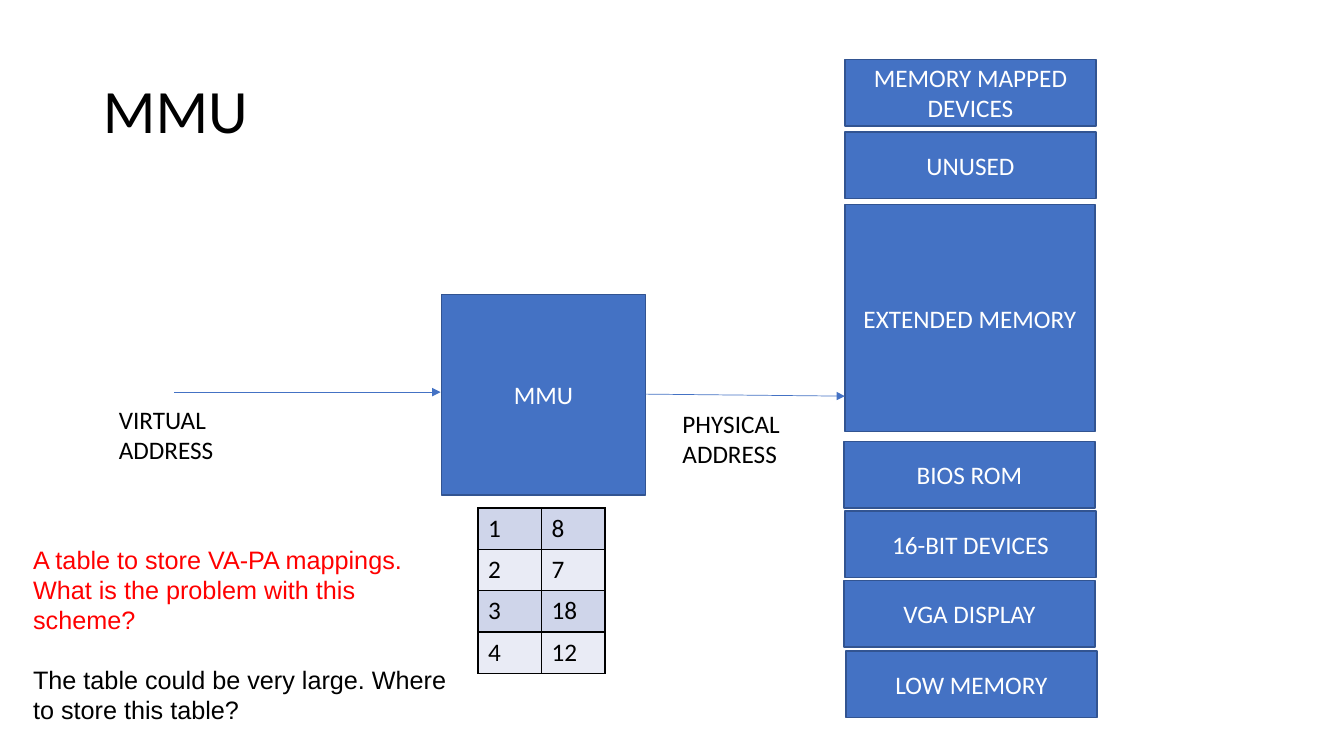
import dataclasses
import typing

import pptx
import pptx.dml.color
import pptx.enum.shapes
import pptx.enum.text
import pptx.oxml
import pptx.oxml.ns
import pptx.util

PX = 9144
ALIGN = pptx.enum.text.PP_ALIGN
ANCHOR = pptx.enum.text.MSO_ANCHOR

COLORS = {
    "box": "4472C4",
    "edge": "325491",
    "white": "FFFFFF",
    "black": "000000",
    "red": "FF0000",
    "odd_row": "CFD5EA",
    "even_row": "E9EBF5",
}
BODY = {"name": "Calibri", "size": pptx.util.Pt(18)}
NOTE = {"name": "Arial", "size": pptx.util.Pt(18)}
TITLE = {"name": "Calibri", "size": pptx.util.Pt(44)}


@dataclasses.dataclass
class Box:
    text: str
    left: int
    top: int
    width: int = 249
    height: int = 66


@dataclasses.dataclass
class Arrow:
    x1: int
    y1: int
    x2: int
    y2: int


@dataclasses.dataclass
class Line:
    text: str
    color: str = "black"
    before: float = 0


@dataclasses.dataclass
class Label:
    left: int
    top: int
    width: int
    height: int
    lines: list[Line]
    font: dict[str, typing.Any]


BOXES = [
    Box("MMU", 438, 292, 202, 199),
    Box("MEMORY MAPPED DEVICES", 838, 59),
    Box("UNUSED", 838, 131),
    Box("EXTENDED MEMORY", 838, 203, 248, 225),
    Box("BIOS ROM", 837, 438),
    Box("16-BIT DEVICES", 838, 507),
    Box("VGA DISPLAY", 837, 576),
    Box("LOW MEMORY", 839, 646),
]
ARROWS = [Arrow(173, 389, 437, 389), Arrow(640, 391, 838, 393)]
LABELS = [
    Label(108, 396, 219, 71, [Line("VIRTUAL"), Line("ADDRESS")], BODY),
    Label(667, 400, 219, 71, [Line("PHYSICAL"), Line("ADDRESS")], BODY),
    Label(23, 535, 438, 192, [
        Line("A table to store VA-PA mappings.", "red"),
        Line("What is the problem with this scheme?", "red"),
        Line("The table could be very large. Where to store this table?", before=20.7),
    ], NOTE),
]
MAPPINGS = [("1", "8"), ("2", "7"), ("3", "18"), ("4", "12")]


def px(*values: int) -> list[int]:
    return [v * PX for v in values]


def rgb(name: str) -> pptx.dml.color.RGBColor:
    return pptx.dml.color.RGBColor.from_string(COLORS[name])


def write(p, text: str, font: dict[str, typing.Any], color: str) -> None:
    r = p.add_run()
    r.text = text
    for key, value in font.items():
        setattr(r.font, key, value)
    r.font.color.rgb = rgb(color)


def draw_title(slide, text: str) -> None:
    sp = slide.shapes.title
    sp.left, sp.top, sp.width, sp.height = px(92, 40, 1150, 145)
    tf = sp.text_frame
    tf.auto_size = pptx.enum.text.MSO_AUTO_SIZE.NONE
    tf.vertical_anchor = ANCHOR.MIDDLE
    p = tf.paragraphs[0]
    for key, value in {"alignment": ALIGN.LEFT, "line_spacing": 0.9}.items():
        setattr(p, key, value)
    write(p, text, TITLE, "black")


def draw_box(slide, box: Box) -> None:
    sp = slide.shapes.add_shape(
        pptx.enum.shapes.MSO_SHAPE.RECTANGLE,
        *px(box.left, box.top, box.width, box.height))
    sp.shadow.inherit = False
    sp.fill.solid()
    sp.fill.fore_color.rgb = rgb("box")
    sp.line.color.rgb = rgb("edge")
    sp.line.width = pptx.util.Pt(1)
    tf = sp.text_frame
    for key, value in {"word_wrap": True, "vertical_anchor": ANCHOR.MIDDLE}.items():
        setattr(tf, key, value)
    p = tf.paragraphs[0]
    p.alignment = ALIGN.CENTER
    write(p, box.text, BODY, "white")


def draw_arrow(slide, arrow: Arrow) -> None:
    cxn = slide.shapes.add_connector(
        pptx.enum.shapes.MSO_CONNECTOR.STRAIGHT,
        *px(arrow.x1, arrow.y1, arrow.x2, arrow.y2))
    cxn.line.color.rgb = rgb("box")
    cxn.line.width = pptx.util.Pt(0.5)
    ns = pptx.oxml.ns.nsdecls("a")
    cxn.line._get_or_add_ln().append(
        pptx.oxml.parse_xml(f'<a:tailEnd {ns} type="triangle"/>'))
    cxn._element.spPr.append(pptx.oxml.parse_xml(f"<a:effectLst {ns}/>"))


def draw_label(slide, label: Label) -> None:
    sp = slide.shapes.add_textbox(
        *px(label.left, label.top, label.width, label.height))
    tf = sp.text_frame
    tf.word_wrap = True
    for i, line in enumerate(label.lines):
        p = tf.add_paragraph() if i else tf.paragraphs[0]
        p.space_before = pptx.util.Pt(line.before)
        write(p, line.text, label.font, line.color)


def draw_table(slide, rows: list[tuple[str, str]]) -> None:
    col_width, row_height = px(63, 41)
    table = slide.shapes.add_table(
        len(rows), 2, *px(474, 504), 2 * col_width, len(rows) * row_height).table
    table.first_row = False
    for col in table.columns:
        col.width = col_width
    for i, values in enumerate(rows):
        table.rows[i].height = row_height
        for j, text in enumerate(values):
            cell = table.cell(i, j)
            tcPr = cell._tc.get_or_add_tcPr()
            for side in "LRTB":
                tcPr.append(pptx.oxml.parse_xml(
                    f'<a:ln{side} {pptx.oxml.ns.nsdecls("a")} w="12700"><a:solidFill>'
                    f'<a:srgbClr val="{COLORS["black"]}"/></a:solidFill></a:ln{side}>'))
            cell.fill.solid()
            cell.fill.fore_color.rgb = rgb("even_row" if i % 2 else "odd_row")
            write(cell.text_frame.paragraphs[0], text, BODY, "black")


def main() -> None:
    prs = pptx.Presentation()
    prs.slide_width, prs.slide_height = px(1333, 750)
    slide = prs.slides.add_slide(prs.slide_layouts.get_by_name("Title Only"))
    draw_title(slide, "MMU")
    for box in BOXES:
        draw_box(slide, box)
    for arrow in ARROWS:
        draw_arrow(slide, arrow)
    draw_table(slide, MAPPINGS)
    for label in LABELS:
        draw_label(slide, label)
    prs.save("out.pptx")


if __name__ == "__main__":
    main()
